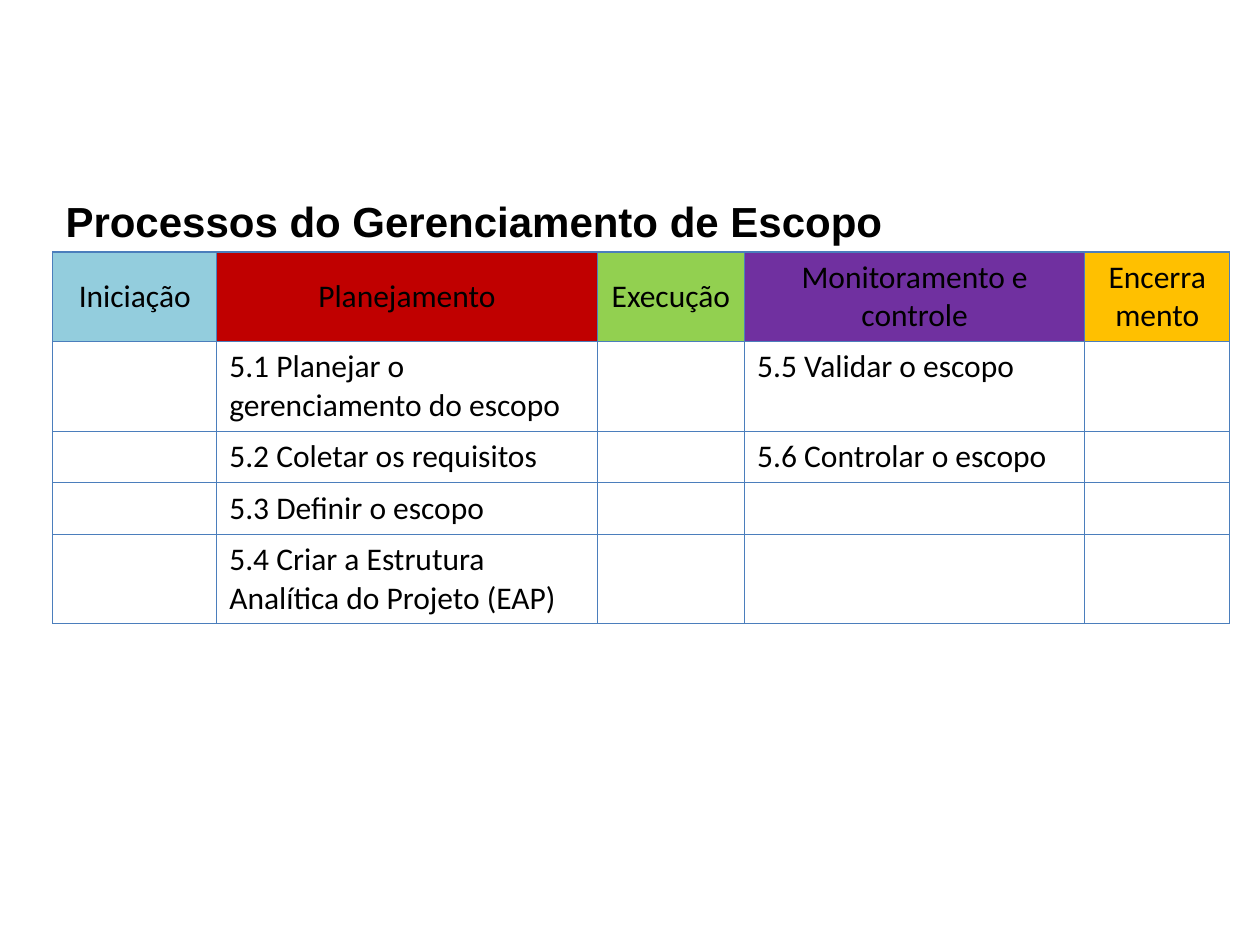
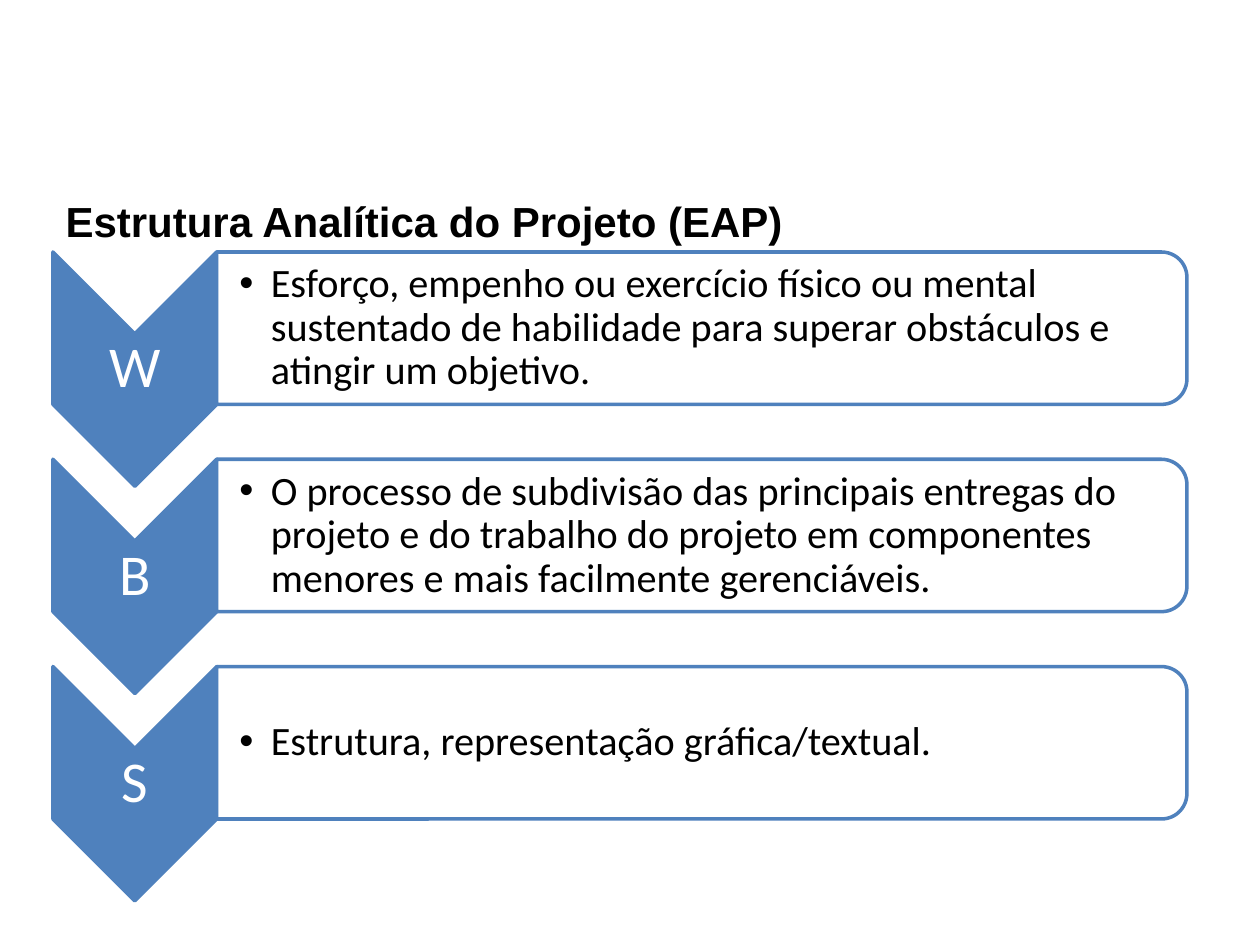
from lxml.etree import SubElement
from pptx import Presentation
from pptx.dml.color import RGBColor
from pptx.enum.shapes import MSO_SHAPE
from pptx.enum.text import MSO_ANCHOR, MSO_AUTO_SIZE, PP_ALIGN
from pptx.oxml.ns import qn
from pptx.util import Inches, Pt

COLORS = {
    "ink": "000000", "paper": "FFFFFF", "accent": "4F81BD", "grid": "4B7EBC",
    "start": "93CDDD", "plan": "C00000", "run": "92D050",
    "control": "7030A0", "close": "FFC000",
}
PROCESS_TITLE = "Processos do Gerenciamento de Escopo"
PHASES = [
    ("Iniciação", "start", 1.3, []),
    ("Planejamento", "plan", 3.02, [
        "5.1 Planejar o gerenciamento do escopo",
        "5.2 Coletar os requisitos",
        "5.3 Definir o escopo",
        "5.4 Criar a Estrutura Analítica do Projeto (EAP)",
    ]),
    ("Execução", "run", 1.17, []),
    ("Monitoramento e controle", "control", 2.7,
     ["5.5 Validar o escopo", "5.6 Controlar o escopo"]),
    ("Encerramento", "close", 1.15, []),
]
WBS_TITLE = "Estrutura Analítica do Projeto (EAP)"
WBS_LETTERS = [
    ("W", "Esforço, empenho ou exercício físico ou mental sustentado de "
          "habilidade para superar obstáculos e atingir um objetivo."),
    ("B", "O processo de subdivisão das principais entregas do projeto e do "
          "trabalho do projeto em componentes menores e mais facilmente "
          "gerenciáveis."),
    ("S", "Estrutura, representação gráfica/textual."),
]

LEFT, TITLE_TOP, TITLE_HEIGHT = 0.42, 1.5, 0.5
CONTENT_TOP = TITLE_TOP + TITLE_HEIGHT
CONTENT_WIDTH = 9.34
ROW_HEIGHT = 0.41
CHEVRON_WIDTH, CHEVRON_LENGTH = 1.3, 1.86
PANEL_WIDTH, PANEL_HEIGHT = 7.7, 1.21
STEP = 1.645
INSET = 0.02


def color(key):
    return RGBColor.from_string(COLORS[key])


def write(frame, words, size, ink="ink", font="Calibri", bold=False, align=PP_ALIGN.LEFT):
    paragraph = frame.paragraphs[0]
    paragraph.alignment = align
    run = paragraph.add_run()
    run.text = words
    run.font.size, run.font.name, run.font.bold = Pt(size), font, bold
    run.font.color.rgb = color(ink)
    return paragraph


def titled_slide(deck, words):
    slide = deck.slides.add_slide(deck.slide_layouts[5])
    title = slide.shapes.title
    title.left, title.top = Inches(LEFT), Inches(TITLE_TOP)
    title.width, title.height = Inches(CONTENT_WIDTH), Inches(TITLE_HEIGHT)
    frame = title.text_frame
    frame.auto_size = MSO_AUTO_SIZE.NONE
    frame.vertical_anchor = MSO_ANCHOR.MIDDLE
    write(frame, words, 24, font="Arial", bold=True)
    return slide


def border(cell):
    properties = cell._tc.get_or_add_tcPr()
    for side in ("a:lnL", "a:lnR", "a:lnT", "a:lnB"):
        edge = SubElement(properties, qn(side), w=str(Pt(0.75)))
        paint = SubElement(edge, qn("a:solidFill"))
        SubElement(paint, qn("a:srgbClr"), val=COLORS["grid"])


def fill_cell(cell, words, fill, header):
    border(cell)
    cell.fill.solid()
    cell.fill.fore_color.rgb = color(fill)
    if header:
        cell.vertical_anchor = MSO_ANCHOR.MIDDLE
    if words:
        write(cell.text_frame, words, 18, align=PP_ALIGN.CENTER if header else PP_ALIGN.LEFT)


def add_process_table(slide):
    row_count = 1 + max(len(processes) for *_, processes in PHASES)
    table = slide.shapes.add_table(
        row_count, len(PHASES), Inches(LEFT), Inches(CONTENT_TOP),
        Inches(CONTENT_WIDTH), Inches(ROW_HEIGHT * row_count)).table
    table.first_row = table.horz_banding = False
    for row in table.rows:
        row.height = Inches(ROW_HEIGHT)
    for column, (phase, fill, width, processes) in enumerate(PHASES):
        table.columns[column].width = Inches(width)
        fill_cell(table.cell(0, column), phase, fill, True)
        for row in range(1, row_count):
            process = processes[row - 1] if row <= len(processes) else ""
            fill_cell(table.cell(row, column), process, "paper", False)


def add_turned_shape(slide, preset, left, top, width, height, fill):
    turned_left = left + (width - height) / 2
    turned_top = top + (height - width) / 2
    shape = slide.shapes.add_shape(
        preset, Inches(turned_left), Inches(turned_top), Inches(height), Inches(width))
    shape.rotation = 90
    shape.shadow.inherit = False
    shape.fill.solid()
    shape.fill.fore_color.rgb = color(fill)
    shape.line.color.rgb = color("accent")
    shape.line.width = Pt(2)
    return shape


def add_label(slide, left, top, width, height, inset_left=INSET):
    frame = slide.shapes.add_textbox(
        Inches(left), Inches(top), Inches(width), Inches(height)).text_frame
    frame.word_wrap = True
    frame.vertical_anchor = MSO_ANCHOR.MIDDLE
    frame.margin_left = Inches(inset_left)
    frame.margin_right = frame.margin_top = frame.margin_bottom = Inches(INSET)
    return frame


def add_bullet(paragraph):
    properties = paragraph._p.get_or_add_pPr()
    properties.set("marL", str(Inches(0.25)))
    properties.set("indent", str(-Inches(0.25)))
    SubElement(properties, qn("a:buFont"), typeface="Arial")
    SubElement(properties, qn("a:buChar"), char="•")


def add_wbs_step(slide, top, letter, meaning):
    panel_left = LEFT + CHEVRON_WIDTH
    add_turned_shape(slide, MSO_SHAPE.CHEVRON, LEFT, top,
                     CHEVRON_WIDTH, CHEVRON_LENGTH, "accent")
    notch = CHEVRON_WIDTH / 2
    letter_frame = add_label(slide, LEFT, top + notch, CHEVRON_WIDTH, CHEVRON_LENGTH - 2 * notch)
    initial = write(letter_frame, letter, 33, "paper", align=PP_ALIGN.CENTER)
    initial.line_spacing = 0.9

    panel = add_turned_shape(slide, MSO_SHAPE.ROUND_2_SAME_RECTANGLE, panel_left, top,
                             PANEL_WIDTH, PANEL_HEIGHT, "paper")
    paint = panel._element.spPr.find(qn("a:solidFill")).find(qn("a:srgbClr"))
    SubElement(paint, qn("a:alpha"), val="90000")
    meaning_frame = add_label(slide, panel_left, top + 0.06, PANEL_WIDTH - 0.06,
                              PANEL_HEIGHT - 0.12, 0.18)
    explanation = write(meaning_frame, meaning, 23)
    explanation.line_spacing = 0.9
    add_bullet(explanation)


deck = Presentation()
deck.slide_width, deck.slide_height = Inches(10), Inches(7.5)
add_process_table(titled_slide(deck, PROCESS_TITLE))
wbs_slide = titled_slide(deck, WBS_TITLE)
for position, (letter, meaning) in enumerate(WBS_LETTERS):
    add_wbs_step(wbs_slide, CONTENT_TOP + position * STEP, letter, meaning)
deck.save("out.pptx")
